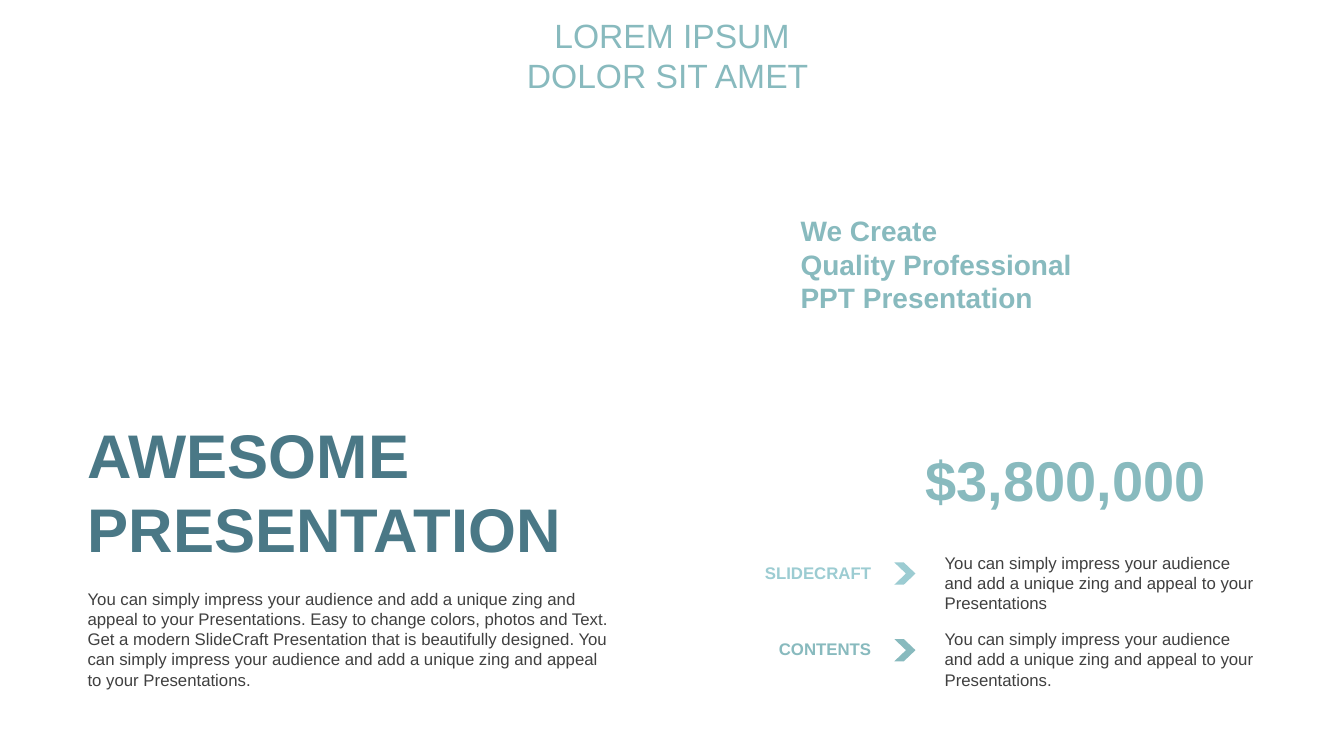
from pptx import Presentation
from pptx import util as u
from pptx.dml.color import RGBColor
from pptx.enum import shapes, text

FONT = "Arial"
DARK_TEAL, TEAL, LIGHT_TEAL, GREY = "4A7886", "88BABE", "9CCCD2", "404040"
PITCH = "You can simply impress your audience and add a unique zing and appeal to your Presentations"


def colour(code):
    return RGBColor.from_string(code)


def add_text(page, place, lines, size, code, bold=False,
             align=text.PP_ALIGN.LEFT, anchor=text.MSO_ANCHOR.TOP, insets=(0.1, 0.05)):
    """Add a wrapped text box with one paragraph per line."""
    box = page.shapes.add_textbox(*(u.Inches(length) for length in place))
    frame = box.text_frame
    frame.word_wrap = True
    frame.vertical_anchor = anchor
    frame.margin_left = frame.margin_right = u.Inches(insets[0])
    frame.margin_top = frame.margin_bottom = u.Inches(insets[1])
    for index, line in enumerate(lines):
        para = frame.add_paragraph() if index else frame.paragraphs[0]
        para.alignment = align
        span = para.add_run()
        span.text = line
        span.font.name = FONT
        span.font.size = u.Pt(size)
        span.font.bold = bold
        span.font.color.rgb = colour(code)


def add_chevron(page, left, top, code):
    chevron = page.shapes.add_shape(
        shapes.MSO_SHAPE.CHEVRON, u.Inches(left), u.Inches(top), u.Inches(0.21), u.Inches(0.22))
    chevron.adjustments[0] = 0.55
    chevron.shadow.inherit = False
    chevron.fill.solid()
    chevron.fill.fore_color.rgb = colour(code)
    chevron.line.fill.background()


def add_item(page, top, label, description, code):
    """Add a row: label, chevron and description."""
    add_text(page, (7.08, top + 0.1, 1.66, 0.3), [label], 12, code, bold=True,
             align=text.PP_ALIGN.RIGHT)
    add_chevron(page, 8.87, top + 0.15, code)
    add_text(page, (9.27, top, 3.29, 0.71), [description], 12, GREY)


def main():
    deck = Presentation()
    deck.slide_width, deck.slide_height = u.Inches(13.33), u.Inches(7.5)
    page = deck.slides.add_slide(deck.slide_layouts[6])

    # Heading
    add_text(page, (4.83, 0.09, 3.67, 0.91), ["LOREM IPSUM", "DOLOR SIT AMET "], 24, TEAL,
             align=text.PP_ALIGN.CENTER, anchor=text.MSO_ANCHOR.MIDDLE)

    # Left column: title and introduction
    add_text(page, (0.77, 4.08, 5.13, 1.58), ["AWESOME PRESENTATION"], 44, DARK_TEAL,
             bold=True, anchor=text.MSO_ANCHOR.MIDDLE)
    introduction = (f"{PITCH}. Easy to change colors, photos and Text. Get a modern SlideCraft "
                    f"Presentation that is beautifully designed. {PITCH}.")
    add_text(page, (0.77, 5.79, 5.39, 1.11), [introduction], 12, GREY)

    # Right column: slogan and amount
    add_text(page, (7.9, 2.12, 2.94, 1.01),
             ["We Create", "Quality Professional", "PPT Presentation"], 20, TEAL,
             bold=True, insets=(0.04, 0))
    add_text(page, (9.08, 4.37, 3.3, 0.77), ["$3,800,000"], 40, TEAL, bold=True)

    # Right column: labelled items
    items = [("SLIDECRAFT", PITCH, LIGHT_TEAL), ("CONTENTS", f"{PITCH}.", TEAL)]
    for row, item in enumerate(items):
        add_item(page, 5.43 + 0.76 * row, *item)

    deck.save("out.pptx")


if __name__ == "__main__":
    main()
